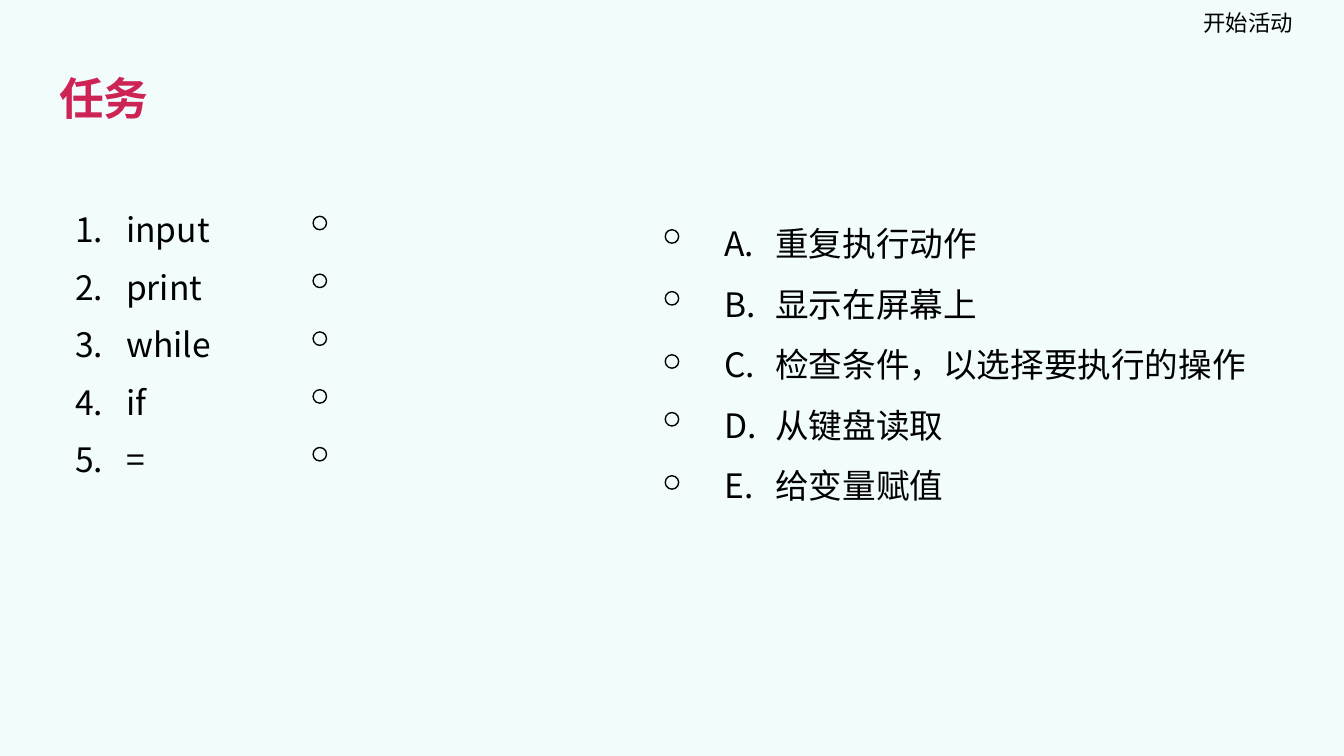
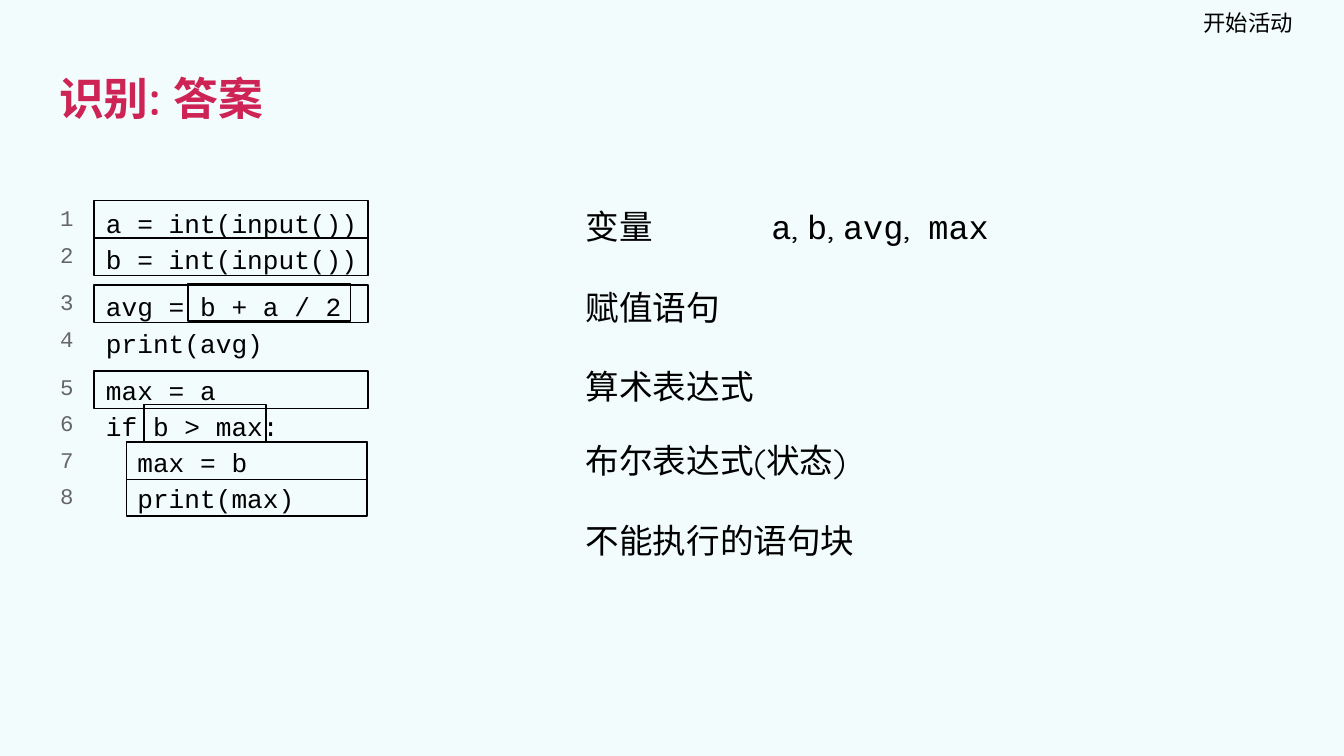
from dataclasses import dataclass
from typing import Optional

from lxml.etree import SubElement
from pptx import Presentation
from pptx.dml.color import RGBColor
from pptx.enum.shapes import MSO_SHAPE
from pptx.enum.text import MSO_ANCHOR, MSO_AUTO_SIZE, PP_ALIGN
from pptx.oxml.ns import qn
from pptx.util import Emu, Pt

SCALE = 9144  # EMU per px, 100 px to the inch
WIDTH = 1000
BACKGROUND = RGBColor(0xF2, 0xFC, 0xFC)
ACCENT = RGBColor(0xCD, 0x23, 0x55)
BLACK = RGBColor(0x00, 0x00, 0x00)
GREY = RGBColor(0x66, 0x66, 0x66)
DISPLAY = "Quicksand"
CHINESE = "Noto Sans CJK SC"
CODE = "Courier New"
TITLE_ONLY = 5

KEYWORDS = ("input", "print", "while", "if", "=")
MEANINGS = (
    "重复执行动作",
    "显示在屏幕上",
    "检查条件，以选择要执行的操作",
    "从键盘读取",
    "给变量赋值",
)
CODE_LINES = (
    "a = int(input())",
    "b = int(input())",
    "avg = b + a / 2",
    "print(avg)",
    "max = a",
    "if b > max:",
    "  max = b",
    "  print(max)",
)
PART_STARTS = (2, 4)  # code lines that open a new part
VARIABLES = (("a", CODE), (", ", DISPLAY), ("b", CODE), (", ", DISPLAY),
             ("avg", CODE), (",  ", DISPLAY), ("max", CODE))


@dataclass(frozen=True)
class Frame:
    left: int
    top: int
    width: int
    height: int


@dataclass(frozen=True)
class Style:
    font: str
    size: int
    color: RGBColor = BLACK
    bold: bool = False
    spacing: Optional[float] = None
    after: int = 0
    align: PP_ALIGN = PP_ALIGN.LEFT
    anchor: MSO_ANCHOR = MSO_ANCHOR.TOP
    top_inset: int = 10
    right_inset: int = 10
    numbering: Optional[str] = None


@dataclass(frozen=True)
class Term:
    text: str
    frame: Frame


TITLE = Style(DISPLAY, 24, ACCENT, bold=True, anchor=MSO_ANCHOR.MIDDLE)
TERM = Style(DISPLAY, 18, spacing=1.14, after=10, right_inset=6)
TERMS = (
    Term("变量", Frame(426, 139, 484, 51)),
    Term("赋值语句", Frame(426, 199, 447, 51)),
    Term("算术表达式", Frame(426, 258, 447, 47)),
    Term("布尔表达式(状态)", Frame(426, 313, 447, 51)),
    Term("不能执行的语句块", Frame(426, 373, 447, 90)),
)
ASSIGNMENT_TOPS = (149, 177, 212, 276)
OUTLINES = (
    Frame(94, 329, 179, 55),  # indented block
    *(Frame(70, top, 204, 28) for top in ASSIGNMENT_TOPS),
    Frame(94, 329, 179, 28),  # assignment inside the block
    Frame(140, 211, 121, 28),  # arithmetic expression
    Frame(107, 301, 91, 28),  # Boolean expression
)


def px(value: int) -> Emu:
    return Emu(value * SCALE)


def place(shape, frame: Frame) -> None:
    shape.left, shape.top = px(frame.left), px(frame.top)
    shape.width, shape.height = px(frame.width), px(frame.height)


def set_font(font, name: str) -> None:
    """Use one typeface for both Latin and East Asian characters."""
    font.name = name
    SubElement(font._rPr, qn("a:ea"), typeface=name)


def add_numbering(para, scheme: str) -> None:
    properties = para._p.get_or_add_pPr()
    properties.set("marL", str(px(50)))
    properties.set("indent", str(px(-38)))
    color = SubElement(properties, qn("a:buClr"))
    SubElement(color, qn("a:srgbClr"), val=str(BLACK))
    SubElement(properties, qn("a:buFont"), typeface=CHINESE)
    SubElement(properties, qn("a:buAutoNum"), type=scheme)


def format_paragraph(para, style: Style, before: int = 0) -> None:
    if style.numbering:
        add_numbering(para, style.numbering)
    para.alignment = style.align
    para.line_spacing = style.spacing
    para.space_before = Pt(before)
    para.space_after = Pt(style.after)
    font = para.font
    font.size, font.bold = Pt(style.size), style.bold
    font.color.rgb = style.color


def set_up_frame(shape, style: Style):
    frame = shape.text_frame
    frame.word_wrap = True
    frame.auto_size = MSO_AUTO_SIZE.NONE
    frame.vertical_anchor = style.anchor
    frame.margin_left = frame.margin_bottom = px(10)
    frame.margin_top = px(style.top_inset)
    frame.margin_right = px(style.right_inset)
    return frame


def write(shape, lines, style: Style, gap: int = 0, part_gap: int = 0) -> None:
    """Write one paragraph a line; part_gap is added where a code part starts."""
    frame = set_up_frame(shape, style)
    for index, text in enumerate(lines):
        para = frame.paragraphs[0] if index == 0 else frame.add_paragraph()
        para.add_run().text = text
        before = (gap if index else 0) + (part_gap if index in PART_STARTS else 0)
        format_paragraph(para, style, before)
        set_font(para.font, style.font)


def add_text(page, frame: Frame, lines, style: Style,
             gap: int = 0, part_gap: int = 0) -> None:
    box = page.shapes.add_textbox(0, 0, 0, 0)
    place(box, frame)
    write(box, lines, style, gap, part_gap)


def add_variables(page) -> None:
    style = Style(CODE, 18, spacing=1.15)
    box = page.shapes.add_textbox(0, 0, 0, 0)
    place(box, Frame(564, 139, 248, 42))
    para = set_up_frame(box, style).paragraphs[0]
    for text, font in VARIABLES:
        span = para.add_run()
        span.text = text
        set_font(span.font, font)
    format_paragraph(para, style)


def add_outline(page, kind: MSO_SHAPE, frame: Frame) -> None:
    shape = page.shapes.add_shape(kind, 0, 0, 0, 0)
    place(shape, frame)
    shape.shadow.inherit = False
    shape.fill.background()
    shape.line.color.rgb = BLACK
    shape.line.width = Pt(0.75)


def add_page(deck, title: str, section_font: str):
    page = deck.slides.add_slide(deck.slide_layouts[TITLE_ONLY])
    place(page.shapes.title, Frame(34, 34, 932, 77))
    write(page.shapes.title, [title], TITLE)
    section = Style(section_font, 12, align=PP_ALIGN.RIGHT,
                    anchor=MSO_ANCHOR.MIDDLE, right_inset=0)
    add_text(page, Frame(748, 0, 214, 34), ["开始活动"], section)
    return page


def build_matching(deck) -> None:
    page = add_page(deck, "任务", CHINESE)
    meanings = Style(CHINESE, 18, spacing=1.5, right_inset=6,
                     numbering="alphaUcPeriod")
    keywords = Style(CHINESE, 18, spacing=1.15, right_inset=6,
                     numbering="arabicPeriod")
    add_text(page, Frame(517, 141, 448, 265), MEANINGS, meanings)
    add_text(page, Frame(34, 141, 265, 258), KEYWORDS, keywords, gap=6)
    for row in range(len(KEYWORDS)):
        add_outline(page, MSO_SHAPE.OVAL, Frame(233, 161 + 43 * row, 10, 10))
    for top in (171, 217, 264, 307, 354):
        add_outline(page, MSO_SHAPE.OVAL, Frame(495, top, 10, 10))


def build_answers(deck) -> None:
    page = add_page(deck, "识别: 答案", DISPLAY)
    add_text(page, Frame(69, 141, 238, 252), CODE_LINES,
             Style(CODE, 14, spacing=1.15), part_gap=6)
    numbers = [str(number) for number in range(1, len(CODE_LINES) + 1)]
    add_text(page, Frame(35, 143, 30, 267), numbers,
             Style(CODE, 12, GREY, spacing=1.15, top_inset=6),
             gap=3, part_gap=6)
    for term in TERMS:
        add_text(page, term.frame, [term.text], TERM)
    for frame in OUTLINES:
        add_outline(page, MSO_SHAPE.RECTANGLE, frame)
    add_variables(page)


def main() -> None:
    deck = Presentation()
    deck.slide_width = px(WIDTH)
    deck.slide_height = Emu(px(WIDTH) * 9 // 16)
    fill = deck.slide_master.background.fill
    fill.solid()
    fill.fore_color.rgb = BACKGROUND
    build_matching(deck)
    build_answers(deck)
    deck.save("out.pptx")


if __name__ == "__main__":
    main()
